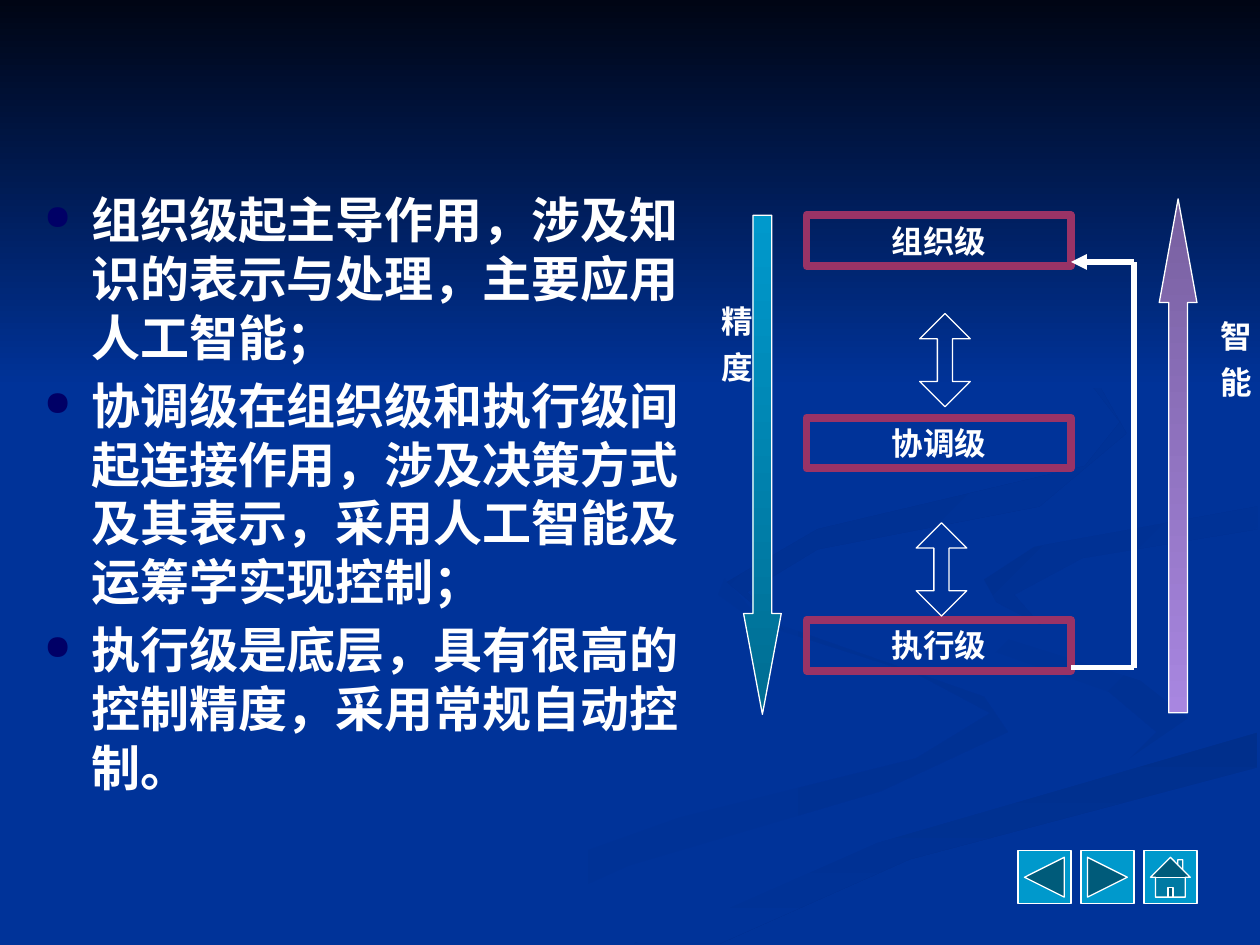
"""Build a slide on the three levels of hierarchical intelligent control."""
from typing import NamedTuple

from lxml import etree
from pptx import Presentation
from pptx import util as u
from pptx.dml import color
from pptx.enum import shapes, text
from pptx.oxml import ns

SANS = "Noto Sans CJK SC"
WHITE = "FFFFFF"
BLUE = "003399"
KIND = shapes.MSO_SHAPE


class Box(NamedTuple):
    x: float
    y: float
    w: float
    h: float

    def cm(self) -> list:
        return [u.Cm(n) for n in self]


class Fade(NamedTuple):
    start: str
    end: str
    angle: int


class Swoosh(NamedTuple):
    fill: object
    points: list


class Arrow(NamedTuple):
    kind: object
    box: Box
    head: float
    fill: object = None


SWOOSHES = [
    Swoosh(Fade(BLUE, "003193", 0), [
        (575, 459), (570, 472), (602, 495), (728, 535), (786, 566), (727, 602), (539, 649),
        (376, 707), (300, 749), (361, 749), (499, 687), (699, 628), (800, 581), (781, 553),
        (602, 490)]),
    Swoosh(Fade(BLUE, "003193", 45), [
        (724, 464), (755, 505), (880, 549), (918, 581), (894, 605), (943, 570), (905, 540),
        (745, 490)]),
    Swoosh(Fade("002F8C", BLUE, 90), [
        (503, 749), (571, 749), (722, 682), (998, 609), (998, 581), (696, 669)]),
    Swoosh(BLUE, [
        (725, 464), (745, 490), (905, 540), (943, 570), (892, 605), (663, 668), (477, 749),
        (519, 747), (696, 669), (999, 581), (999, 538), (817, 492), (781, 463), (822, 434),
        (999, 402), (999, 387), (770, 427)]),
    Swoosh(Fade("003091", BLUE, 45), [
        (781, 460), (791, 478), (826, 496), (805, 472), (859, 443), (998, 420), (998, 402),
        (821, 434)]),
    Swoosh(Fade("002F8E", BLUE, 45), [
        (762, 233), (846, 279), (889, 335), (861, 370), (649, 420), (577, 462), (622, 500),
        (593, 470), (649, 436), (825, 402), (894, 344), (864, 291)]),
]
BUTTONS = [KIND.ACTION_BUTTON_BACK_OR_PREVIOUS, KIND.ACTION_BUTTON_FORWARD_OR_NEXT,
           KIND.ACTION_BUTTON_HOME]
POINTS = ["组织级起主导作用，涉及知识的表示与处理，主要应用人工智能；",
          "协调级在组织级和执行级间起连接作用，涉及决策方式及其表示，采用人工智能及运筹学实现控制；",
          "执行级是底层，具有很高的控制精度，采用常规自动控制。"]
LEVELS = ["组织级", "协调级", "执行级"]
ARROWS = [
    Arrow(KIND.UP_DOWN_ARROW, Box(18.47, 10.54, 1.02, 1.88), 0.3),
    Arrow(KIND.UP_DOWN_ARROW, Box(18.54, 6.32, 1.02, 1.88), 0.3),
    Arrow(KIND.DOWN_ARROW, Box(14.99, 4.34, 0.76, 10.06), 2.67, Fade("0099CC", "006D92", 90)),
    Arrow(KIND.UP_ARROW, Box(23.37, 4.01, 0.76, 10.36), 2.75, Fade("7860A0", "A886E0", 90)),
]
AXES = {"精度": Box(14.05, 5.92, 1.3, 5.03), "智能": Box(24.1, 6.22, 1.3, 5.03)}
LOOP = [(21.59, 13.46), (22.86, 13.46), (22.86, 5.28), (21.59, 5.28)]


def rgb(code: str) -> color.RGBColor:
    return color.RGBColor.from_string(code)


def add(node, tag: str, **attrs: str):
    return etree.SubElement(node, ns.qn(tag), attrs)


def paint(shape, fill=None, line: str = "", width: float = 0.75) -> None:
    shape.shadow.inherit = False
    if isinstance(fill, Fade):
        shape.fill.gradient()
        shape.fill.gradient_angle = -fill.angle % 360
        for stop, code in zip(shape.fill.gradient_stops, fill):
            stop.color.rgb = rgb(code)
    elif fill:
        shape.fill.solid()
        shape.fill.fore_color.rgb = rgb(fill)
    else:
        shape.fill.background()
    if line:
        shape.line.color.rgb = rgb(line)
        shape.line.width = u.Pt(width)
    else:
        shape.line.fill.background()


def write(shape, *lines: str, size: float = 18, font: str = SANS, align=text.PP_ALIGN.LEFT,
          anchor=text.MSO_ANCHOR.TOP, pitch: float = 0, gap: float = 0, track: int = 0,
          bullet: str = "", vert: str = "") -> None:
    frame = shape.text_frame
    frame.word_wrap = True
    frame.vertical_anchor = anchor
    if vert:
        shape.element.txBody.bodyPr.set("vert", vert)
    for i, words in enumerate(lines):
        para = frame.add_paragraph() if i else frame.paragraphs[0]
        para.alignment = align
        if pitch:
            para.line_spacing = u.Pt(pitch)
        para.space_before = u.Pt(gap if i else 0)
        if bullet:
            props = para._p.get_or_add_pPr()
            props.set("marL", str(u.Cm(0.95)))
            props.set("indent", str(-u.Cm(0.95)))
            add(add(props, "a:buClr"), "a:srgbClr", val=bullet)
            add(props, "a:buSzPct", val="70000")
            add(props, "a:buChar", char="●")
        run = para.add_run()
        run.text = words
        run.font.size = u.Pt(size)
        run.font.bold = True
        run.font.color.rgb = rgb(WHITE)
        run.font.name = font
        props = run._r.get_or_add_rPr()
        add(props, "a:ea", typeface=font)
        if track:
            props.set("spc", str(track))


def draw(slide, kind, box: Box, **look):
    item = slide.shapes.add_shape(kind, *box.cm())
    paint(item, **look)
    return item


def link(slide, start: tuple, end: tuple, head: bool) -> None:
    line = slide.shapes.add_connector(
        shapes.MSO_CONNECTOR.STRAIGHT, *[u.Cm(n) for n in start + end])
    line.line.color.rgb = rgb(WHITE)
    line.line.width = u.Pt(3)
    if head:
        add(line.element.spPr.find(ns.qn("a:ln")), "a:tailEnd", type="triangle")
    add(line.element.spPr, "a:effectLst")


def main() -> None:
    deck = Presentation()
    deck.slide_width, deck.slide_height = u.Cm(25.4), u.Cm(19.05)
    slide = deck.slides.add_slide(deck.slide_layouts[6])
    slide.background.fill.solid()
    slide.background.fill.fore_color.rgb = rgb(BLUE)

    for fill, points in SWOOSHES:
        trace = slide.shapes.build_freeform(*points[0], scale=u.Cm(1) / 39.37)
        trace.add_line_segments(points[1:], close=True)
        paint(trace.convert_to_shape(), fill)
    draw(slide, KIND.RECTANGLE, Box(0, 0, 25.4, 7.82), fill=Fade("000514", BLUE, 90))
    for i, kind in enumerate(BUTTONS):
        draw(slide, kind, Box(20.52 + 1.27 * i, 17.15, 1.07, 1.07), fill="0099CC", line=WHITE)

    body = slide.shapes.add_textbox(*Box(0.64, 3.61, 13.54, 13.13).cm())
    body.text_frame.margin_top = u.Cm(0.22)
    write(body, *POINTS, size=28, pitch=33.5, gap=5.6, bullet="000066")

    for i, words in enumerate(LEVELS):
        level = draw(slide, KIND.RECTANGLE, Box(16.26, 4.34 + 4.08 * i, 5.33, 1.02),
                     line="993366", width=4.5)
        write(level, words, font="DejaVu Sans", align=text.PP_ALIGN.CENTER,
              anchor=text.MSO_ANCHOR.MIDDLE)
    for start, end in zip(LOOP, LOOP[1:]):
        link(slide, start, end, end == LOOP[-1])
    for kind, box, head, fill in ARROWS:
        arrow = draw(slide, kind, box, fill=fill, line=WHITE)
        arrow.adjustments[0], arrow.adjustments[1] = 0.5, head
    for words, box in AXES.items():
        write(slide.shapes.add_textbox(*box.cm()), words, track=800, vert="eaVert")
    deck.save("out.pptx")


if __name__ == "__main__":
    main()
